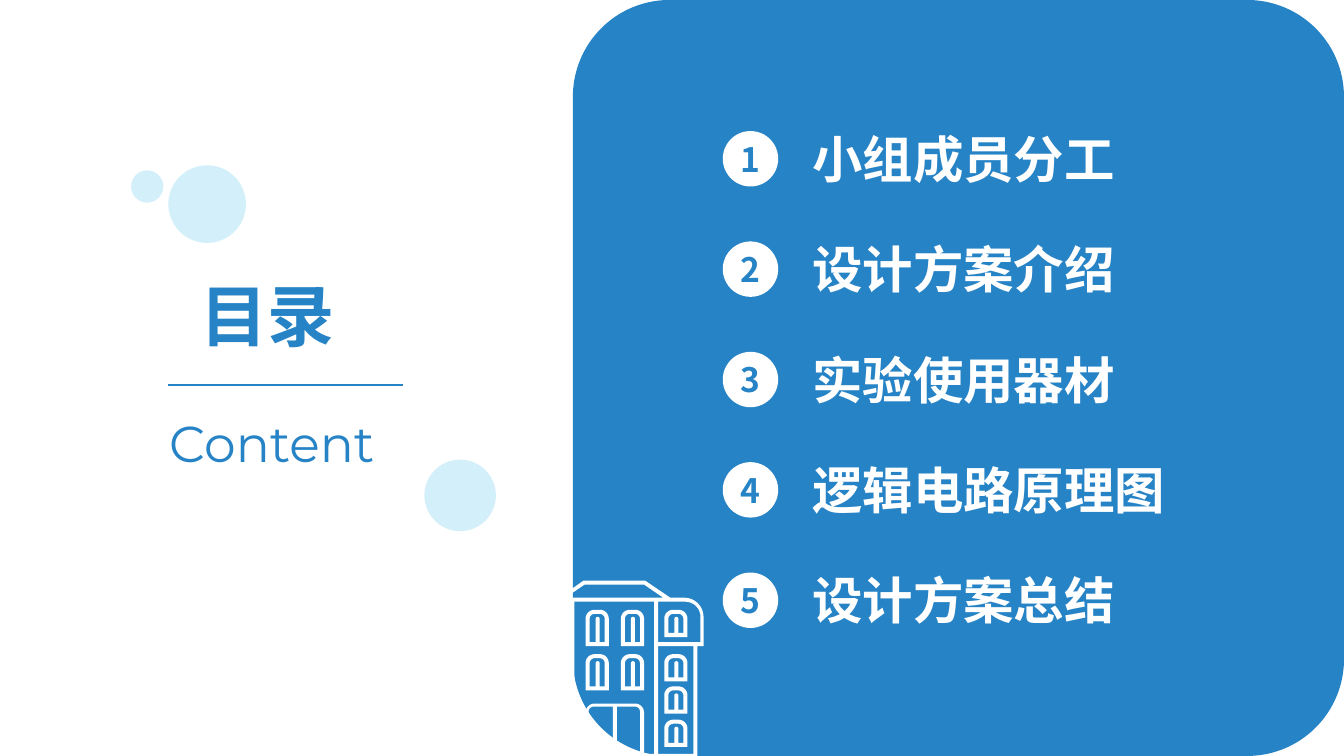
from dataclasses import dataclass
from math import cos, pi, sin

from lxml.etree import SubElement
from pptx import Presentation
from pptx.dml.color import RGBColor
from pptx.enum.shapes import MSO_CONNECTOR, MSO_SHAPE
from pptx.enum.text import MSO_ANCHOR, MSO_AUTO_SIZE, PP_ALIGN
from pptx.oxml.ns import qn
from pptx.util import Inches, Pt


@dataclass(frozen=True)
class Theme:
    blue: RGBColor = RGBColor(0x26, 0x83, 0xC6)
    pale: RGBColor = RGBColor(0xD2, 0xEF, 0xFA)
    white: RGBColor = RGBColor(0xFF, 0xFF, 0xFF)
    chinese: str = "Noto Sans CJK SC"
    latin: str = "Montserrat"
    title_size: int = 48
    entry_size: int = 36
    number_size: int = 24


# The grid has ten columns and ten rows to the inch
CELL = Inches(0.1)
COLUMNS, ROWS = 133.33, 75


def cells(*counts):
    return [round(count * CELL) for count in counts]


def corner(x, y, radius, start):
    """Points of a quarter circle around (x, y), clockwise from start."""
    angles = [start + step * pi / 16 for step in range(9)]
    return [(x + radius * cos(a), y + radius * sin(a)) for a in angles]


def arch(left, top, right, bottom, left_radius=0, right_radius=0):
    """Outline of a block with rounded upper corners, from its lower left."""
    outline = [(left, bottom)]
    outline += corner(left + left_radius, top + left_radius, left_radius, pi)
    outline += corner(right - right_radius, top + right_radius, right_radius, -pi / 2)
    return outline + [(right, bottom)]


class SlideBuilder:
    def __init__(self, slide, theme):
        self.shapes = slide.shapes
        self.theme = theme

    def paint(self, shape, color):
        shape.shadow.inherit = False
        shape.fill.solid()
        shape.fill.fore_color.rgb = color
        shape.line.fill.background()

    def set_text(self, frame, text, size, color, font, bold, align):
        frame.text = text
        paragraph = frame.paragraphs[0]
        paragraph.alignment = align
        run = paragraph.runs[0]
        run.font.size, run.font.bold, run.font.name = Pt(size), bold, font
        run.font.color.rgb = color
        east_asian = SubElement(run.font._element, qn("a:ea"))
        east_asian.set("typeface", font)

    def panel(self, left, top, width, height, rounding, color):
        panel = self.shapes.add_shape(
            MSO_SHAPE.ROUNDED_RECTANGLE, *cells(left, top, width, height))
        panel.adjustments[0] = rounding
        self.paint(panel, color)

    def circle(self, left, top, diameter, color):
        circle = self.shapes.add_shape(
            MSO_SHAPE.OVAL, *cells(left, top, diameter, diameter))
        self.paint(circle, color)
        return circle

    def badge(self, left, top, diameter, number):
        frame = self.circle(left, top, diameter, self.theme.white).text_frame
        frame.margin_left = frame.margin_right = 0
        frame.vertical_anchor = MSO_ANCHOR.MIDDLE
        self.set_text(frame, number, self.theme.number_size, self.theme.blue,
                      self.theme.chinese, True, PP_ALIGN.CENTER)

    def label(self, left, top, width, height, text, size, color, font, bold):
        frame = self.shapes.add_textbox(*cells(left, top, width, height)).text_frame
        frame.word_wrap = True
        frame.auto_size = MSO_AUTO_SIZE.SHAPE_TO_FIT_TEXT
        self.set_text(frame, text, size, color, font, bold, PP_ALIGN.JUSTIFY)

    def rule(self, left, right, row, color):
        rule = self.shapes.add_connector(
            MSO_CONNECTOR.STRAIGHT, *cells(left, row, right, row))
        rule.line.color.rgb = color
        rule.line.width = Pt(1)
        SubElement(rule._element.spPr, qn("a:effectLst"))

    def cutout(self, outline, *openings):
        """A white outline with openings that let the panel through."""
        builder = self.shapes.build_freeform(*cells(*outline[0]), scale=1.0)
        builder.add_line_segments([cells(*point) for point in outline[1:]])
        for opening in openings:
            builder.move_to(*cells(*opening[0]))
            builder.add_line_segments([cells(*point) for point in opening[1:]])
        self.paint(builder.convert_to_shape(), self.theme.white)

    def window(self, left, top, height):
        right, bottom = left + 2.3, top + height
        middle, sill = left + 1.2, bottom - 0.4
        bar = arch(middle - 0.2, top + 0.7, middle + 0.2, sill, 0.2, 0.2)
        pane = arch(left + 0.4, top + 0.4, right - 0.4, sill, 0.5, 0.5)
        self.cutout(arch(left, top, right, bottom, 0.88, 0.88), pane + bar[::-1])

    def building(self):
        base = 74.8
        silhouette = [(52.8, ROWS), (52.8, 64.1), (52.1, 64.1),
                      *corner(54, 61.2, 1.9, pi),
                      (55.5, 59.3), (57.9, 57.6), (64, 57.6), (66.5, 59.3),
                      *corner(67.9, 61.2, 1.9, -pi / 2),
                      (69.8, 64.1), (69.2, 64.1), (69.2, ROWS)]
        roof = [(56.1, 59.3), (58, 58), (63.9, 58), (65.8, 59.3)]
        door_frame = arch(58.1, 69.8, 63.9, base, 0.9, 0.9)
        self.cutout(
            silhouette,
            roof,
            arch(57, 59.7, 64.9, base) + door_frame[::-1],
            arch(58.4, 70.1, 60.8, base, 0.5, 0),
            arch(61.2, 70.1, 63.5, base, 0, 0.5),
            arch(52.5, 59.7, 56.7, 63.7, 1.5, 0),
            arch(65.3, 59.7, 69.5, 63.7, 0, 1.5),
            arch(53.1, 64.1, 56.7, base),
            arch(65.3, 64.1, 68.8, base))
        for top in (60.5, 64.9, 68.1, 71.4):
            for left in (53.7, 65.9):
                self.window(left, top, 2.7)
        for top in (60.5, 64.9):
            for left in (58.1, 61.6):
                self.window(left, top, 3.6)


def main():
    presentation = Presentation()
    presentation.slide_width, presentation.slide_height = cells(COLUMNS, ROWS)
    slide = presentation.slides.add_slide(presentation.slide_layouts[6])
    theme = Theme()
    builder = SlideBuilder(slide, theme)

    # Blue panel with the building at its foot
    builder.panel(56.83, 0, 76.5, ROWS, 0.128, theme.blue)
    builder.building()

    # Heading among pale circles
    for left, top, diameter in ((42.1, 45.6, 7.1), (16.7, 16.4, 7.7), (13, 16.9, 3.2)):
        builder.circle(left, top, diameter, theme.pale)
    builder.label(18.9, 26.7, 18.5, 9.1, "目录", theme.title_size,
                  theme.blue, theme.chinese, True)
    builder.label(15.8, 40.4, 24.6, 7.1, "Content", theme.entry_size,
                  theme.blue, theme.latin, False)
    builder.rule(16.7, 40, 38.2, theme.blue)

    # Numbered chapters
    chapters = ("小组成员分工", "设计方案介绍", "实验使用器材", "逻辑电路原理图", "设计方案总结")
    for index, chapter in enumerate(chapters):
        top = 13 + index * 10.95
        builder.badge(71.7, top, 5.5, str(index + 1))
        builder.label(79.6, top - 0.8, 41.5, 7.1, chapter, theme.entry_size,
                      theme.white, theme.chinese, True)

    presentation.save("out.pptx")


if __name__ == "__main__":
    main()
